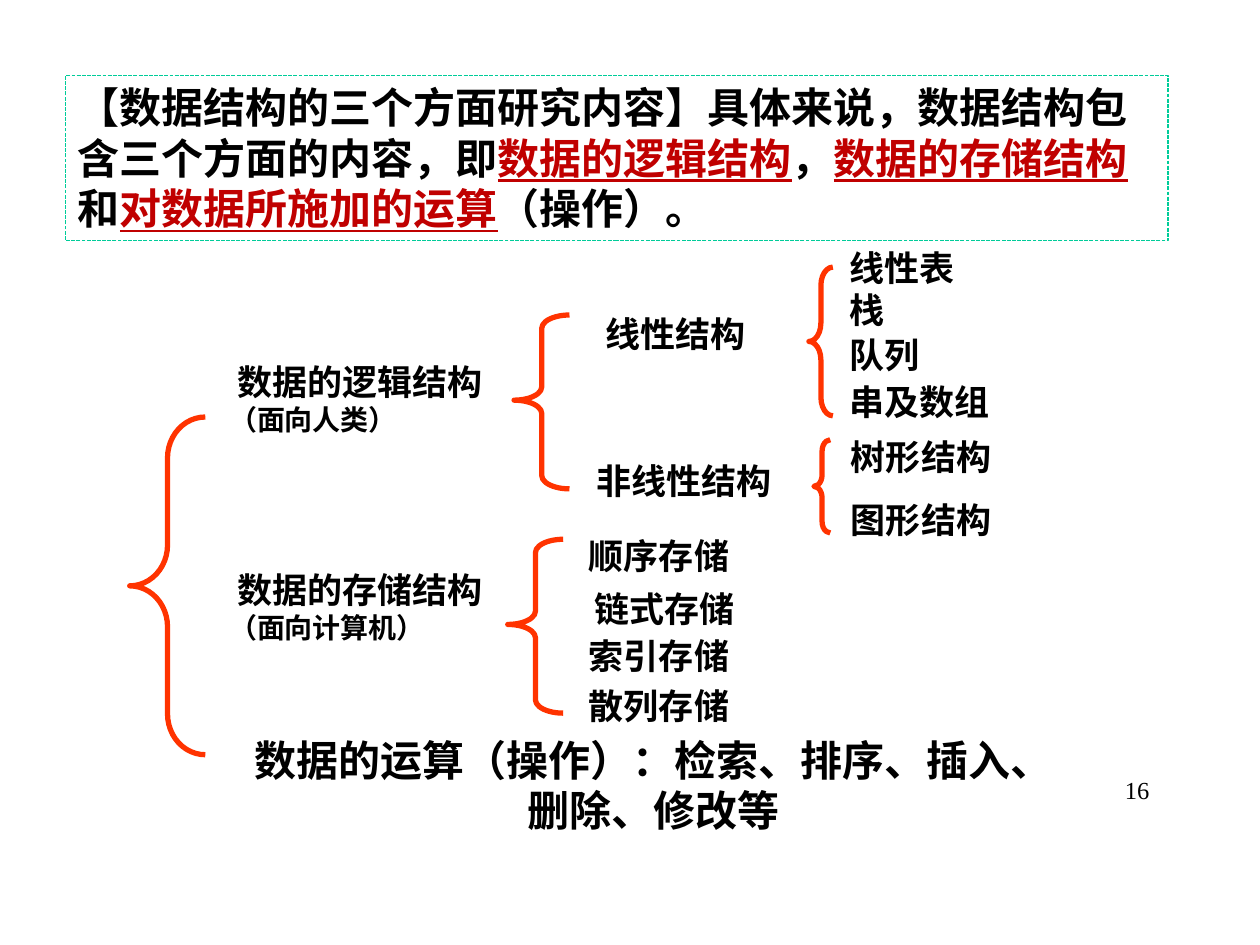
from pptx import Presentation
from pptx.dml.color import RGBColor
from pptx.enum.dml import MSO_LINE
from pptx.enum.shapes import MSO_SHAPE
from pptx.enum.text import MSO_ANCHOR, MSO_AUTO_SIZE, PP_ALIGN
from pptx.oxml.ns import qn
from pptx.util import Inches, Pt
from lxml import etree

LEFT, MID, RIGHT = PP_ALIGN.LEFT, PP_ALIGN.CENTER, PP_ALIGN.RIGHT
RECT, BRACE = MSO_SHAPE.RECTANGLE, MSO_SHAPE.LEFT_BRACE
DASH, TOP, GROW = MSO_LINE.SQUARE_DOT, MSO_ANCHOR.TOP, MSO_AUTO_SIZE.SHAPE_TO_FIT_TEXT
HUES = {"ink": "000000", "key": "C00000", "brace": "FF3300", "frame": "00CC99"}
SANS, SERIF = "Noto Sans CJK SC", "Times New Roman"


class Board:
    """Holds the style and the current slide, and draws each kind of element."""

    def __init__(self, slide):
        self.slide = slide

    def hue(self, name):
        return RGBColor.from_string(HUES[name])

    def run(self, para, text, size, key=False, font=SANS, bold=True):
        run = para.add_run()
        run.text = text
        face = run.font
        face.name, face.size, face.bold = font, Pt(size), bold
        face.color.rgb = self.hue("key" if key else "ink")
        face.underline = key
        east = etree.Element(qn("a:ea"), typeface=font)
        face._element.find(qn("a:latin")).addnext(east)

    def text(self, at, lines, align=LEFT, wrap=False, **look):
        frame = self.slide.shapes.add_textbox(*map(Inches, at)).text_frame
        frame.word_wrap, frame.auto_size = wrap, GROW
        for i, (words, size) in enumerate(lines):
            para = frame.add_paragraph() if i else frame.paragraphs[0]
            para.alignment = align
            self.run(para, words, size, **look)

    def shape(self, kind, at, hue, width):
        shape = self.slide.shapes.add_shape(kind, *map(Inches, at))
        shape.shadow.inherit = False
        shape.fill.background()
        shape.line.color.rgb = self.hue(hue)
        shape.line.width = Pt(width)
        return shape

    def brace(self, at, curl, peak=0.5):
        shape = self.shape(BRACE, at, "brace", 3)
        shape.adjustments[0], shape.adjustments[1] = curl, peak

    def panel(self, at, parts, size):
        shape = self.shape(RECT, at, "frame", 0.75)
        shape.line.dash_style = DASH
        frame = shape.text_frame
        frame.word_wrap, frame.auto_size = True, GROW
        frame.vertical_anchor = TOP
        para = frame.paragraphs[0]
        para.alignment = LEFT
        for words, key in parts:
            self.run(para, words, size, key)


def main():
    deck = Presentation()
    deck.slide_width, deck.slide_height = Inches(10), Inches(7.5)
    board = Board(deck.slides.add_slide(deck.slide_layouts[6]))

    board.text((7.14, 6.1, 2.08, 0.5), [("16", 14)], RIGHT, True, font=SERIF, bold=False)
    board.panel((0.52, 0.6, 8.75, 1.31), [
        ("【数据结构的三个方面研究内容】具体来说，数据结构包含三个方面的内容，即", False),
        ("数据的逻辑结构", True),
        ("，", False),
        ("数据的存储结构", True),
        ("和", False),
        ("对数据所施加的运算", True),
        ("（操作）。", False),
    ], 24)

    board.brace((1.03, 3.31, 0.6, 2.68), 0.54)
    for left, top in ((4.08, 2.5), (4.03, 4.28)):
        board.brace((left, top, 0.44, 1.38), 0.24, 0.49)
    board.brace((6.42, 2.12, 0.19, 1.18), 0.77)
    board.brace((6.46, 3.49, 0.13, 0.74), 0.7)

    for top, high, name, note in (
        (2.81, 0.71, " 数据的逻辑结构", "（面向人类）"),
        (4.46, 0.77, " 数据的存储结构", "（面向计算机）"),
    ):
        board.text((1.72, top, 2.31, high), [(name, 20), (note, 16)])
    board.text((1.86, 5.78, 6.65, 0.9),
               [("数据的运算（操作）：检索、排序、插入、删除、修改等", 24)], MID, True)

    for left, top, wide, name in (
        (4.56, 2.43, 1.6, " 线性结构 "),
        (4.53, 3.6, 1.74, " 非线性结构"),
        (4.57, 4.19, 1.32, "顺序存储"),
        (4.57, 4.61, 1.47, "链式存储 "),
        (4.57, 4.99, 1.32, "索引存储"),
        (4.57, 5.38, 1.32, "散列存储"),
        (6.64, 1.91, 1.04, "线性表"),
        (6.65, 3.41, 1.32, "树形结构"),
        (6.65, 3.91, 1.32, "图形结构"),
    ):
        board.text((left, top, wide, 0.44), [(name, 20)], MID)
    for top, wide, name in ((2.24, 0.6, "栈"), (2.6, 1.02, "队列"), (2.97, 2.32, "串及数组")):
        board.text((6.64, top, wide, 0.44), [(name, 20)], LEFT, True)

    deck.save("out.pptx")


if __name__ == "__main__":
    main()
